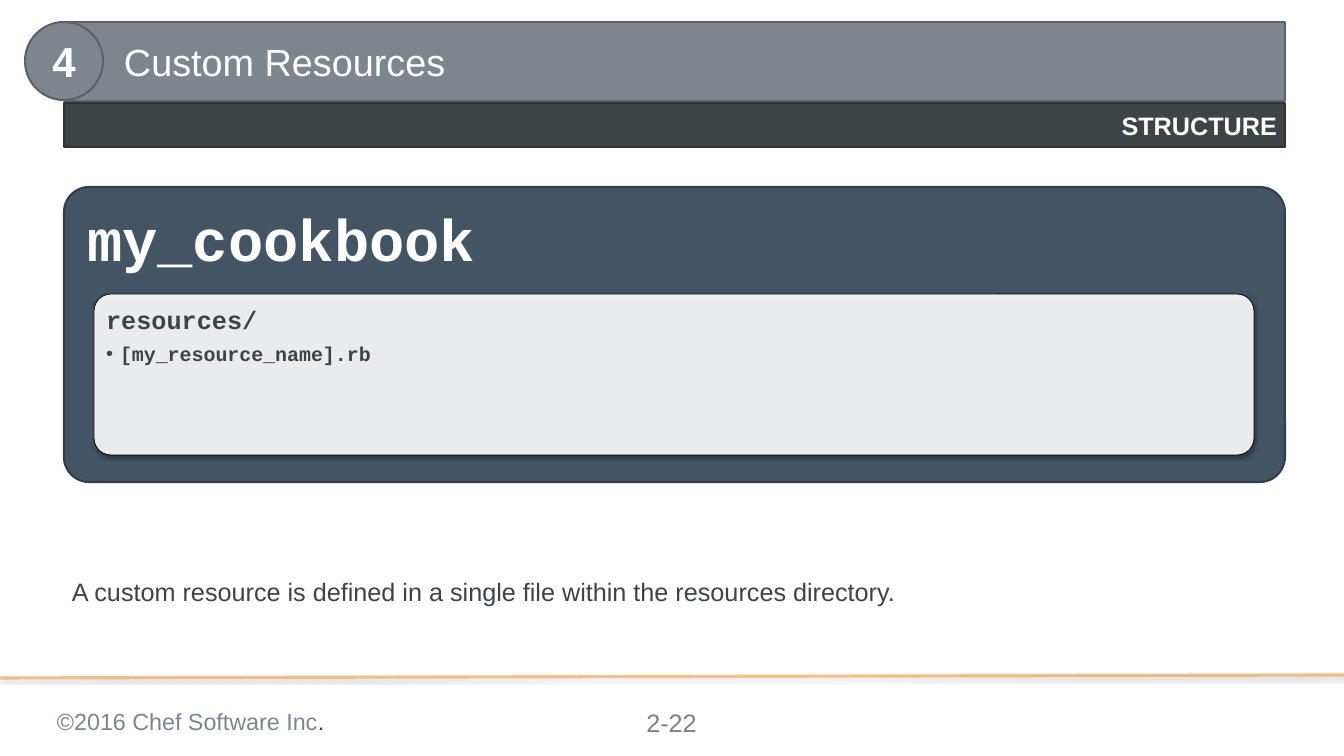
from pptx import Presentation
from pptx.dml.color import RGBColor
from pptx.enum.shapes import MSO_CONNECTOR as Link, MSO_SHAPE as Form
from pptx.enum.text import MSO_ANCHOR as Anchor, MSO_AUTO_SIZE as Fit, PP_ALIGN as Align
from pptx.oxml import parse_xml
from pptx.oxml.ns import qn
from pptx.util import Pt
from lxml.etree import SubElement as Sub

PX = 12095  # EMU in one px
NS = 'xmlns:a="http://schemas.openxmlformats.org/drawingml/2006/main"'


def px(*nums):
    return [n * PX for n in nums]


def tint(code):
    return RGBColor.from_string(code)


def fade(part, share):
    """Make the solid colour under part see-through; share is in percent."""
    for node in part.iter(qn("a:srgbClr")):
        Sub(node, qn("a:alpha"), val=str(share * 1000))


def cast(shape, deep=False):
    """End the shape's properties with a soft shadow, or with none."""
    soft = ('<a:outerShdw blurRad="39370" dist="22860" dir="5400000" rotWithShape="0">'
            '<a:srgbClr val="000000"><a:alpha val="35000"/></a:srgbClr></a:outerShdw>')
    shape.element.spPr.append(
        parse_xml(f"<a:effectLst {NS}>{soft if deep else ''}</a:effectLst>"))


class Deck:
    sans, mono = "Arial", "Courier New"
    white, gray, dark, slate = "FFFFFF", "7D868C", "3E4346", "435464"

    def __init__(self, wide, high):
        self.file = Presentation()
        self.file.slide_width, self.file.slide_height = px(wide, high)
        self.slide = self.file.slides.add_slide(self.file.slide_layouts[1])
        self.shapes = self.slide.shapes

    def place(self, shape, box):
        shape.left, shape.top, shape.width, shape.height = px(*box)
        return shape

    def paint(self, shape, fill, edge, thick=2):
        shape.fill.solid()
        shape.fill.fore_color.rgb = tint(fill)
        shape.line.color.rgb = tint(edge)
        shape.line.width = Pt(thick)

    def frame(self, shape, pads=(8, 8, 8, 8), anchor=Anchor.TOP):
        frame = shape.text_frame
        frame.word_wrap, frame.auto_size = True, Fit.NONE
        frame.vertical_anchor = anchor
        (frame.margin_left, frame.margin_top,
         frame.margin_right, frame.margin_bottom) = px(*pads)
        return frame

    def run(self, para, text, size, color, bold=False, font=sans):
        run = para.add_run()
        run.text = text
        run.font.name, run.font.size, run.font.bold = font, Pt(size), bold
        run.font.color.rgb = tint(color)

    def code(self, para, text, size, color, after):
        para.line_spacing = 0.9
        para.space_before, para.space_after = Pt(0), Pt(after)
        self.run(para, text, size, color, True, self.mono)

    def title(self, box, text):
        bar = self.place(self.shapes.title, box)
        self.paint(bar, self.gray, "5C6368")
        para = self.frame(bar, (60, 8, 8, 8), Anchor.MIDDLE).paragraphs[0]
        para.alignment = Align.LEFT
        self.run(para, text, 36, self.white)

    def shape(self, form, box, fill, edge, thick=2, curve=None, deep=False, clear=None):
        shape = self.shapes.add_shape(form, *px(*box))
        self.paint(shape, fill, edge, thick)
        if curve:
            shape.adjustments[0] = curve
        if clear:
            fade(shape.element.spPr.find(qn("a:solidFill")), clear)
        cast(shape, deep)
        return shape

    def label(self, shape, text, size, align):
        para = self.frame(shape, (8, 4, 8, 4), Anchor.MIDDLE).paragraphs[0]
        para.alignment = align
        self.run(para, text, size, self.white, True)

    def text(self, box, pads=(8, 8, 8, 8)):
        return self.frame(self.shapes.add_textbox(*px(*box)), pads).paragraphs[0]

    def rule(self, start, end, color, thick):
        line = self.shapes.add_connector(Link.STRAIGHT, *px(*start, *end))
        line.line.color.rgb = tint(color)
        line.line.width = Pt(thick)
        fade(line.element.spPr, 50)
        cast(line, True)

    def tree(self, box, head, files):
        """Fill the body placeholder with a folder and its files, above the cards."""
        body = self.place(self.shapes.placeholders[1], box)
        body.element.getparent().append(body.element)
        frame = self.frame(body)
        para = frame.paragraphs[0]
        prop = para._p.get_or_add_pPr()
        prop.set("marL", "0")
        prop.set("indent", "0")
        Sub(prop, qn("a:buNone"))
        self.code(para, head, 24, self.dark, 8.4)
        for name in files:
            para = frame.add_paragraph()
            para.level = 1
            prop = para._p.get_or_add_pPr()
            prop.set("marL", str(14 * PX))
            prop.set("indent", str(-14 * PX))
            Sub(prop, qn("a:buFont"), typeface=self.sans)
            Sub(prop, qn("a:buChar"), char="•")
            self.code(para, name, 19, self.dark, 2.85)


def main():
    deck = Deck(1344, 756)
    left, wide = 64, 1221

    deck.rule((1344, 675), (0, 678), "F18B21", 3)
    foot = deck.text((49, 699, 446, 39))
    deck.run(foot, "©2016 Chef Software Inc", 22.2, deck.gray)
    deck.run(foot, ".", 22.2, deck.dark)
    page = deck.text((612, 699, 119, 43))
    page.alignment = Align.CENTER
    deck.run(page, "2-22", 24, "7F7F7F")

    deck.title((left, 22, wide, 79), "Custom Resources")
    badge = deck.shape(Form.OVAL, (25, 22, 78, 78), deck.gray, "5C6368")
    deck.label(badge, "4", 40, Align.CENTER)
    strip = deck.shape(Form.RECTANGLE, (left, 103, wide, 44), deck.dark, "2E3234")
    deck.label(strip, "STRUCTURE", 24, Align.RIGHT)

    deck.shape(Form.ROUNDED_RECTANGLE, (left, 187, wide, 295), deck.slate, "323E4A",
               curve=0.085)
    name = deck.text((70, 194, 1210, 280), (17, 17, 17, 146))
    deck.code(name, "my_cookbook", 56, deck.white, 19.6)
    deck.shape(Form.ROUNDED_RECTANGLE, (94, 294, 1160, 161), deck.white, "000000", 0.75,
               curve=0.105, deep=True, clear=90)
    deck.tree((98, 300, 1154, 169), "resources/", ["[my_resource_name].rb"])

    note = deck.text((left, 568, wide, 90))
    deck.run(note, "A custom resource is defined in a single file within the resources directory.",
             24, deck.dark)
    deck.file.save("out.pptx")


if __name__ == "__main__":
    main()
